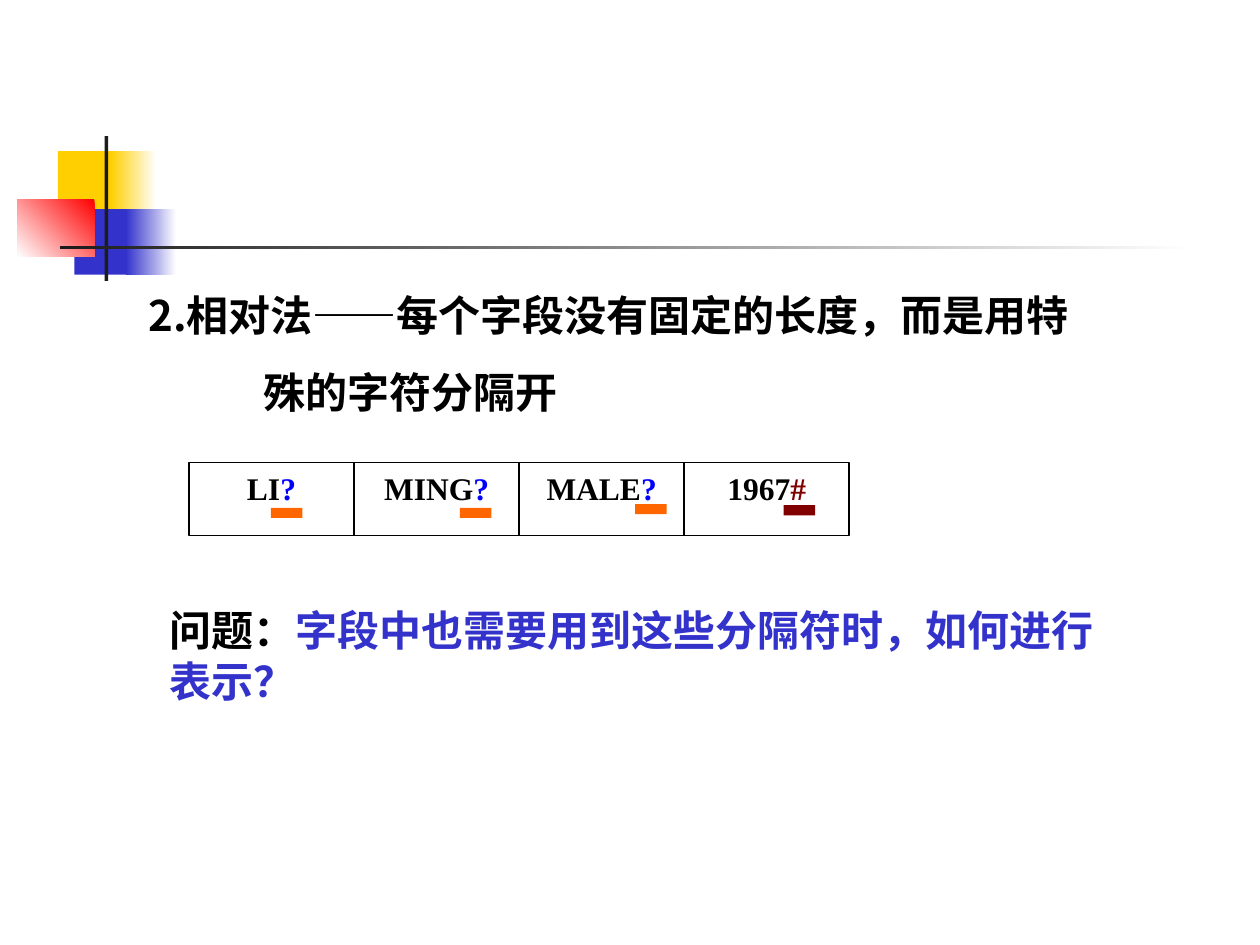
from pptx import Presentation
from pptx.dml.color import RGBColor
from pptx.enum.shapes import MSO_SHAPE as Shape
from pptx.enum.text import MSO_ANCHOR as Anchor, PP_ALIGN as Align
from pptx.oxml.ns import qn
from pptx.util import Inches, Pt

COLORS = {
    "white": "FFFFFF", "black": "000000", "yellow": "FFCF01",
    "indigo": "3333CC", "red": "FF0000", "charcoal": "1C1C1C",
    "blue": "0000FF", "orange": "FF6600", "maroon": "800000",
}
CJK_FONT = "Noto Sans CJK SC"


def rgb(name):
    return RGBColor.from_string(COLORS[name])


def add_rect(shapes, box, color):
    rect = shapes.add_shape(Shape.RECTANGLE, *map(Inches, box))
    rect.shadow.inherit = False
    rect.fill.solid()
    rect.fill.fore_color.rgb = rgb(color)
    rect.line.fill.background()
    return rect


def add_fade(shapes, box, start, end, angle=180):
    """Rectangle with a two-colour gradient; angle is counter-clockwise."""
    fade = add_rect(shapes, box, start)
    fade.fill.gradient()
    fade.fill.gradient_angle = angle
    for stop, color in zip(fade.fill.gradient_stops, (start, end)):
        stop.color.rgb = rgb(color)


def add_run(paragraph, text, size, font, color):
    run = paragraph.add_run()
    run.text = text
    run.font.size = Pt(size)
    run.font.bold = True
    run.font.name = font
    run.font.color.rgb = rgb(color)
    east_asian = run.font._element.makeelement(qn("a:ea"), {"typeface": CJK_FONT})
    run.font._element.append(east_asian)


def add_text(shapes, box, paragraphs, font):
    """Each paragraph is (first-line indent in inches, [(text, color), ...])."""
    frame = shapes.add_textbox(*map(Inches, box)).text_frame
    frame.word_wrap = True
    for i, (indent, runs) in enumerate(paragraphs):
        paragraph = frame.add_paragraph() if i else frame.paragraphs[0]
        if i:
            paragraph.space_before = Pt(15)
        if indent:
            paragraph._p.get_or_add_pPr().set("indent", str(Inches(indent)))
        for text, color in runs:
            add_run(paragraph, text, 24, font, color)


def add_decoration(shapes):
    add_rect(shapes, (0.46, 1.2, 0.48, 0.52), "yellow")
    add_fade(shapes, (0.88, 1.2, 0.36, 0.52), "white", "yellow")
    add_rect(shapes, (0.59, 1.66, 0.46, 0.52), "indigo")
    add_fade(shapes, (1, 1.66, 0.4, 0.52), "white", "indigo")
    add_fade(shapes, (0.14, 1.58, 0.61, 0.46), "red", "white", 225)
    add_rect(shapes, (0.83, 1.08, 0.03, 1.15), "charcoal")
    add_fade(shapes, (0.48, 1.95, 9, 0.03), "white", "charcoal")


def add_record(shapes):
    left, top, width, height = 1.5, 3.67, 1.31, 0.58
    # Field value, separator, separator colour, underline colour and position
    fields = [
        ("LI", "?", "blue", "orange", 2.15, 4.03),
        ("MING", "?", "blue", "orange", 3.65, 4.03),
        ("MALE", "?", "blue", "orange", 5.04, 4),
        ("1967", "#", "maroon", "maroon", 6.22, 4.01),
    ]
    for i, (value, separator, color, *_) in enumerate(fields):
        cell = add_rect(shapes, (left + i * width, top, width, height), "white")
        cell.line.color.rgb = rgb("black")
        cell.line.width = Pt(1)
        cell.text_frame.vertical_anchor = Anchor.TOP
        paragraph = cell.text_frame.paragraphs[0]
        paragraph.alignment = Align.CENTER
        add_run(paragraph, value, 18, "Times New Roman", "black")
        add_run(paragraph, separator, 18, "Times New Roman", color)
    for *_, mark, x, y in fields:
        add_rect(shapes, (x, y, 0.25, 0.08), mark)


def main():
    deck = Presentation()
    deck.slide_width, deck.slide_height = Inches(10), Inches(7.5)
    shapes = deck.slides.add_slide(deck.slide_layouts[6]).shapes

    add_decoration(shapes)

    # Method description
    add_text(shapes, (1.08, 2.25, 7.83, 1.51), [
        (0, [("2.相对法——每个字段没有固定的长度，而是用特", "black")]),
        (0.91, [("殊的字符分隔开", "black")]),
    ], CJK_FONT)

    # Record with separated fields
    add_record(shapes)

    # Open question
    add_text(shapes, (1.25, 4.75, 7.58, 0.9), [
        (0, [("问题：", "black"),
             ("字段中也需要用到这些分隔符时，如何进行表示？", "indigo")]),
    ], "Lato")

    deck.save("out.pptx")


if __name__ == "__main__":
    main()
